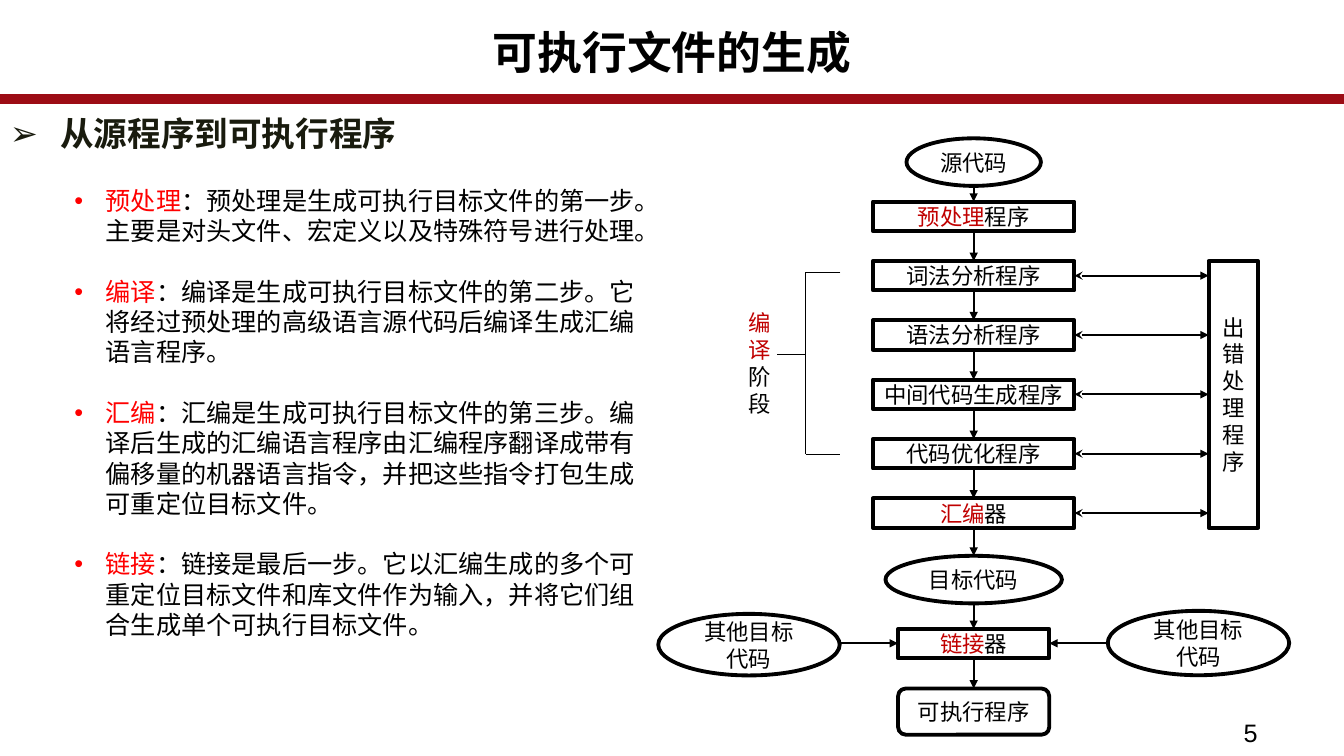
from lxml.etree import SubElement as Sub
from pptx import Presentation as Deck
from pptx.dml.color import RGBColor as Rgb
from pptx.enum.shapes import MSO_CONNECTOR as Conn, MSO_SHAPE as Kind
from pptx.enum.text import MSO_ANCHOR as Anchor, PP_ALIGN as Align
from pptx.oxml.ns import qn
from pptx.util import Pt

BLACK, WHITE, BAND, RED, DARK, INK = (
    "000000", "FFFFFF", "9C0C15", "FF0000", "C00000", "191B0E")


def color(code):
    return Rgb.from_string(code)


class Page:
    """Holds the style and the current slide."""
    sans, serif = "Arial", "Times New Roman"

    def __init__(self, slide):
        self.shapes = slide.shapes

    def fill_in(self, para, runs, size, font, bold=False):
        for words, tint in runs:
            run = para.add_run()
            run.text = words
            run.font.size, run.font.name, run.font.bold = Pt(size), font, bold
            run.font.color.rgb = color(tint)

    def bullet(self, para, mark, tint, indent):
        props = para._p.get_or_add_pPr()
        props.set("marL", str(Pt(indent)))
        props.set("indent", str(-Pt(indent)))
        Sub(Sub(props, qn("a:buClr")), qn("a:srgbClr"), val=tint)
        Sub(props, qn("a:buFont"), typeface=self.sans)
        Sub(props, qn("a:buChar"), char=mark)

    def text(self, x, y, w, h, items, size, font=sans, bold=False,
             mark=None, indent=0, gap=0, lead=None, align=Align.LEFT):
        frame = self.shapes.add_textbox(Pt(x), Pt(y), Pt(w), Pt(h)).text_frame
        frame.word_wrap = True
        for i, runs in enumerate(items):
            para = frame.add_paragraph() if i else frame.paragraphs[0]
            para.alignment = align
            if lead:
                para.line_spacing = lead
            if i:
                para.space_before = Pt(gap)
            if mark:
                self.bullet(para, mark, runs[0][1], indent)
            self.fill_in(para, runs, size, font, bold)

    def shape(self, kind, x, y, w, h, runs=(), fill=WHITE, edge=BLACK):
        node = self.shapes.add_shape(kind, Pt(x), Pt(y), Pt(w), Pt(h))
        node.shadow.inherit = False
        node.fill.solid()
        node.fill.fore_color.rgb = color(fill)
        node.line.color.rgb = color(edge)
        node.line.width = Pt(2.75)
        frame = node.text_frame
        frame.word_wrap = True
        frame.vertical_anchor = Anchor.MIDDLE
        frame.paragraphs[0].alignment = Align.CENTER
        self.fill_in(frame.paragraphs[0], runs, 16, self.serif)

    def line(self, x1, y1, x2, y2, head=None, tail=None, width=1.25):
        link = self.shapes.add_connector(
            Conn.STRAIGHT, Pt(x1), Pt(y1), Pt(x2), Pt(y2))
        link.line.color.rgb = color(BLACK)
        link.line.width = Pt(width)
        props = link._element.spPr
        Sub(props, qn("a:effectLst"))
        for tag, tip in (("a:headEnd", head), ("a:tailEnd", tail)):
            if tip:
                Sub(props.find(qn("a:ln")), qn(tag), type=tip)


def main():
    deck = Deck()
    deck.slide_width, deck.slide_height = Pt(960), Pt(540)
    page = Page(deck.slides.add_slide(deck.slide_layouts[6]))

    # Heading band, title, section and page number
    page.shape(Kind.ROUNDED_RECTANGLE, -0.5, 68.6, 960.5, 4.3,
               fill=BAND, edge=BAND)
    page.text(0, 18.7, 960, 54, [[("可执行文件的生成", BLACK)]], 32,
              bold=True, lead=0.89, align=Align.CENTER)
    page.text(0, 79.2, 459.4, 40, [[("从源程序到可执行程序", INK)]], 24,
              bold=True, mark="➢", indent=36, lead=0.94)
    page.text(881.3, 509, 78.5, 31, [[("5", BLACK)]], 18)

    # Explanation of the four steps
    notes = [
        ("预处理", "：预处理是生成可执行目标文件的第一步。"
                "主要是对头文件、宏定义以及特殊符号进行处理。"),
        ("编译", "：编译是生成可执行目标文件的第二步。"
               "它将经过预处理的高级语言源代码后编译生成汇编语言程序。"),
        ("汇编", "：汇编是生成可执行目标文件的第三步。"
               "编译后生成的汇编语言程序由汇编程序翻译成带有偏移量的机器语言指令，"
               "并把这些指令打包生成可重定位目标文件。"),
        ("链接", "：链接是最后一步。它以汇编生成的多个可重定位目标文件和"
               "库文件作为输入，并将它们组合生成单个可执行目标文件。"),
    ]
    page.text(46, 128.9, 417.6, 334,
              [[(term, RED), (rest, BLACK)] for term, rest in notes], 18,
              mark="•", indent=22.5, gap=21.7)

    # Main column of the flow: kind, top, width, height, red part, black part
    mid, top, pitch, high = 695.5, 144, 42.4, 21
    steps = [("预处理", "程序"), ("", "词法分析程序"), ("", "语法分析程序"),
             ("", "中间代码生成程序"), ("", "代码优化程序"), ("汇编", "器")]
    flow = [(Kind.OVAL, 98.8, 96, 34, "", "源代码")]
    flow += [(Kind.RECTANGLE, top + i * pitch, 144, high, *step)
             for i, step in enumerate(steps)]
    flow += [(Kind.OVAL, 397, 126, 34, "", "目标代码"),
             (Kind.RECTANGLE, 449.2, 108, high, "链接", "器"),
             (Kind.ROUNDED_RECTANGLE, 491.8, 108, 33, "", "可执行程序")]
    for kind, y, w, h, red, black in flow:
        runs = [(part, tint) for part, tint in ((red, DARK), (black, BLACK))
                if part]
        page.shape(kind, mid - w / 2, y, w, h, runs)
    for above, below in zip(flow, flow[1:]):
        page.line(mid, above[1] + above[3], mid, below[1], tail="triangle")

    # Other object code feeding the linker
    join = 459.5
    for x, y, h, start, end in ((470.2, 438.5, 44, 600, 641.5),
                                (791.3, 436.3, 46, 791.3, 749.5)):
        page.shape(Kind.OVAL, x, y, 129.6, h, [("其他目标代码", BLACK)])
        page.line(start, join, end, join, tail="triangle")

    # Error handling, linked to every step after the first
    page.shape(Kind.RECTANGLE, 863.3, top + pitch, 35.3, 4 * pitch + high,
               [("出错处理程序", BLACK)])
    for i in range(1, len(steps)):
        y = top + i * pitch + high / 2
        page.line(mid + 72, y, 863.3, y, head="stealth", tail="triangle")

    # Bracket for the compile stage
    page.text(527.8, 217.4, 26.6, 85, [[("编译", DARK), ("阶段", BLACK)]], 16,
              font=page.serif)
    spine, tip, first, last, stem = 575.5, 600.3, 194.6, 324.4, 253.3
    for ends in ((tip, first, spine, first), (spine, first, spine, last),
                 (spine, last, tip, last), (spine, stem, 555, stem)):
        page.line(*ends, width=0.75)

    deck.save("out.pptx")


if __name__ == "__main__":
    main()
